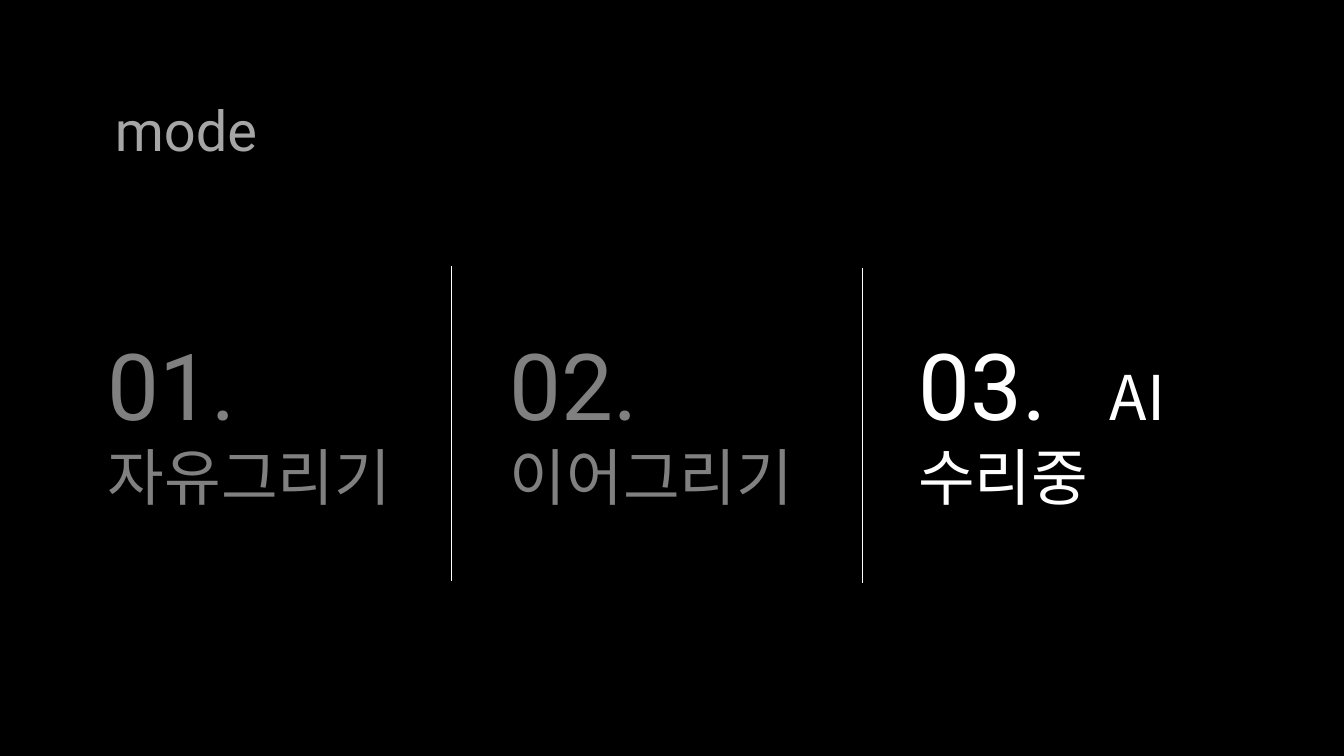
from lxml import etree
from pptx import Presentation
from pptx.dml.color import RGBColor
from pptx.enum.shapes import MSO_CONNECTOR
from pptx.enum.text import MSO_AUTO_SIZE
from pptx.oxml.ns import qn
from pptx.util import Inches, Pt

STRAIGHT = MSO_CONNECTOR.STRAIGHT
FIT_SHAPE = MSO_AUTO_SIZE.SHAPE_TO_FIT_TEXT
COLORS = {"back": "000000", "title": "A6A6A6", "idle": "808080", "active": "FFFFFF"}
LATIN, KOREAN = "Roboto", "Noto Sans CJK KR"


class Deck:
    """Places elements by percent of the slide's width and height."""

    def __init__(self, prs):
        self.prs = prs
        self.slide = prs.slides.add_slide(prs.slide_layouts[6])
        fill = self.slide.background.fill
        fill.solid()
        fill.fore_color.rgb = self.color("back")

    def color(self, name):
        return RGBColor.from_string(COLORS[name])

    def x(self, share):
        return round(self.prs.slide_width * share / 100)

    def y(self, share):
        return round(self.prs.slide_height * share / 100)

    def text(self, left, top, width, height, runs, color, tab=None):
        sp = self.slide.shapes.add_textbox(
            self.x(left), self.y(top), self.x(width), self.y(height))
        tf = sp.text_frame
        tf.word_wrap = True
        tf.auto_size = FIT_SHAPE
        p = tf.paragraphs[0]
        if tab:
            tabs = etree.SubElement(p._p.get_or_add_pPr(), qn("a:tabLst"))
            etree.SubElement(tabs, qn("a:tab"), pos=str(self.x(tab)), algn="l")
        for words, size, font in runs:
            r = p.add_run()
            r.text = words
            r.font.size = Pt(size)
            r.font.name = font
            r.font.color.rgb = self.color(color)
            # East Asian glyphs take their own typeface
            etree.SubElement(r._r.get_or_add_rPr(), qn("a:ea"), typeface=font)

    def divider(self, left, top, height):
        line = self.slide.shapes.add_connector(
            STRAIGHT, self.x(left), self.y(top), self.x(left), self.y(top + height))
        line.line.color.rgb = self.color("active")
        line.line.width = Pt(0.75)
        etree.SubElement(line._element.spPr, qn("a:effectLst"))


def main():
    prs = Presentation()
    prs.slide_width, prs.slide_height = Inches(13.33), Inches(7.5)
    deck = Deck(prs)

    # Title
    deck.text(7.8, 12, 13.73, 10.27, [("mode", 40, LATIN)], "title")

    # Modes: left, width, number, name, colour, tab stop
    modes = [
        (7.28, 24.6, "01. ", "자유그리기", "idle", None),
        (37.2, 24.98, "02. ", "이어그리기", "idle", None),
        (67.58, 24.98, "03.\t", "AI수리중", "active", 14.25),
    ]
    for left, width, number, name, color, tab in modes:
        runs = [(number, 66, LATIN), (name, 44, KOREAN)]
        deck.text(left, 42.75, width, 26, runs, color, tab)

    # Dividers between the modes
    for left, top in [(33.6, 35.2), (64.2, 35.4)]:
        deck.divider(left, top, 41.7)

    prs.save("out.pptx")


if __name__ == "__main__":
    main()
